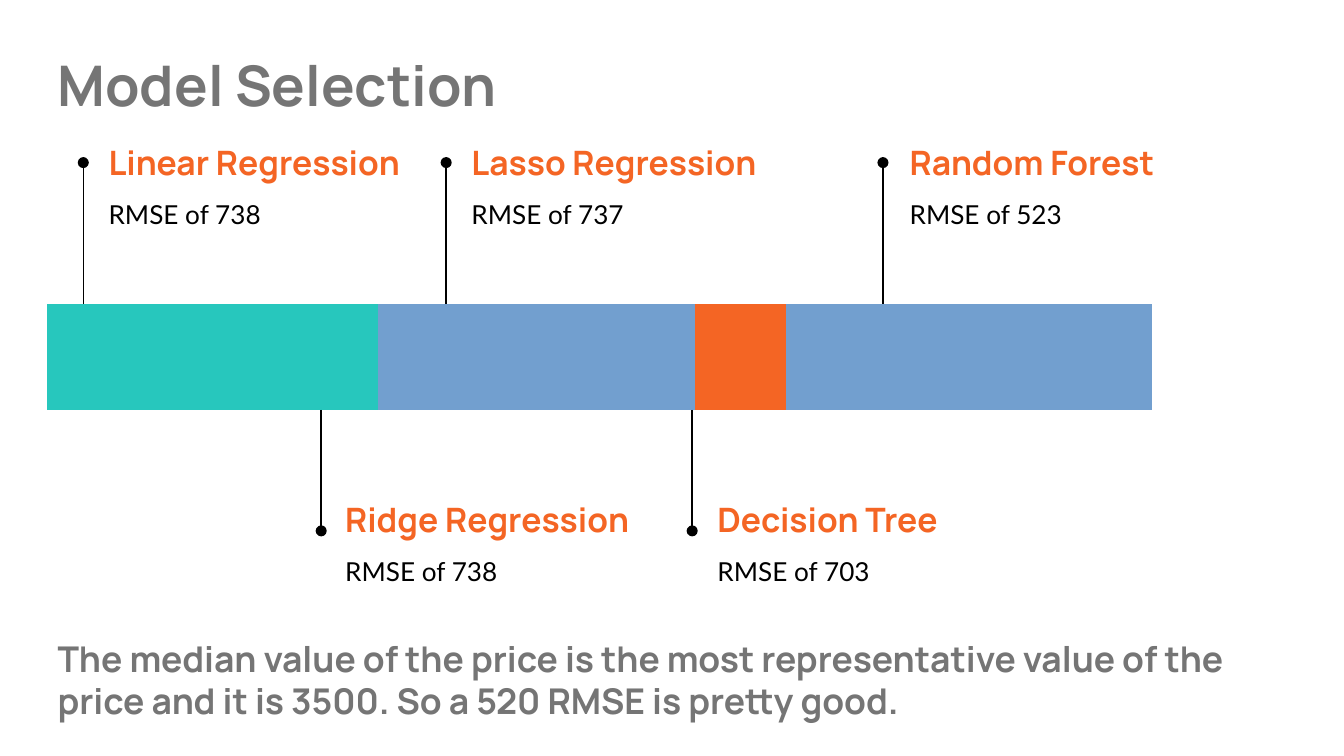
from dataclasses import dataclass

import lxml.etree
import pptx
import pptx.dml.color
import pptx.enum.shapes
import pptx.enum.text
import pptx.oxml.ns
import pptx.util
from pptx.util import Inches

COLORS = {
    "title": "757575",
    "accent": "F46524",
    "body": "000000",
    "teal": "27C7BD",
    "blue": "729FCF",
}
BAR_LEFT, BAR_TOP, BAR_HEIGHT = 0.35, 2.26, 0.79
COLUMN_WIDTHS = [0.68] * 3 + [0.42, 1] + [0.68] * 7


@dataclass
class Segment:
    color: str
    spanned_color: str
    columns: int


@dataclass
class Model:
    name: str
    error: int
    line_x: float
    text_left: float
    above: bool


@dataclass
class TextStyle:
    font: str
    size: float
    color: str
    bold: bool = True
    line_spacing: float = 1.0
    middle: bool = False


TITLE = TextStyle("Manrope", 30, "title")
CONCLUSION = TextStyle("Manrope", 19, "title")
MODEL_NAME = TextStyle("Manrope", 18, "accent", middle=True)
MODEL_SCORE = TextStyle("Lato", 14, "body", bold=False, line_spacing=1.15)

SEGMENTS = [Segment("teal", "teal", 4), Segment("accent", "blue", 8)]
MODELS = [
    Model("Linear Regression", 738, 0.62, 0.71, True),
    Model("Ridge Regression", 738, 2.39, 2.47, False),
    Model("Lasso Regression", 737, 3.32, 3.41, True),
    Model("Decision Tree", 703, 5.15, 5.24, False),
    Model("Random Forest", 523, 6.57, 6.67, True),
]


def rgb(name: str) -> pptx.dml.color.RGBColor:
    return pptx.dml.color.RGBColor.from_string(COLORS[name])


def add_text(slide, text: str, left: float, top: float, width: float,
             height: float, style: TextStyle) -> None:
    shape = slide.shapes.add_textbox(
        Inches(left), Inches(top), Inches(width), Inches(height))
    frame = shape.text_frame
    frame.word_wrap = True
    frame.margin_left = frame.margin_right = Inches(0.1)
    frame.margin_top = frame.margin_bottom = Inches(0.1)
    anchor = pptx.enum.text.MSO_ANCHOR
    frame.vertical_anchor = anchor.MIDDLE if style.middle else anchor.TOP
    paragraph = frame.paragraphs[0]
    paragraph.line_spacing = style.line_spacing
    run = paragraph.add_run()
    run.text = text
    run.font.name = style.font
    run.font.size = pptx.util.Pt(style.size)
    run.font.bold = style.bold
    run.font.color.rgb = rgb(style.color)


def fill_cell(cell, color: str) -> None:
    properties = cell._tc.get_or_add_tcPr()
    for side in ("a:lnL", "a:lnR", "a:lnT", "a:lnB"):
        border = lxml.etree.SubElement(properties, pptx.oxml.ns.qn(side))
        lxml.etree.SubElement(border, pptx.oxml.ns.qn("a:noFill"))
    cell.fill.solid()
    cell.fill.fore_color.rgb = rgb(color)


def add_bar(slide) -> None:
    table = slide.shapes.add_table(
        1, len(COLUMN_WIDTHS), Inches(BAR_LEFT), Inches(BAR_TOP),
        Inches(sum(COLUMN_WIDTHS)), Inches(BAR_HEIGHT)).table
    table.first_row = False
    table.horz_banding = False
    for column, width in zip(table.columns, COLUMN_WIDTHS):
        column.width = Inches(width)
    start = 0
    for segment in SEGMENTS:
        end = start + segment.columns
        fill_cell(table.cell(0, start), segment.color)
        for index in range(start + 1, end):
            fill_cell(table.cell(0, index), segment.spanned_color)
        table.cell(0, start).merge(table.cell(0, end - 1))
        start = end


def add_marker(slide, x: float, start_y: float, end_y: float) -> None:
    connector = slide.shapes.add_connector(
        pptx.enum.shapes.MSO_CONNECTOR.STRAIGHT,
        Inches(x), Inches(start_y), Inches(x), Inches(end_y))
    connector.line.color.rgb = rgb("body")
    connector.line.width = pptx.util.Pt(0.75)
    line = connector.line._get_or_add_ln()
    lxml.etree.SubElement(line, pptx.oxml.ns.qn("a:tailEnd"), type="oval")
    lxml.etree.SubElement(
        connector._element.spPr, pptx.oxml.ns.qn("a:effectLst"))


def add_model(slide, model: Model) -> None:
    if model.above:
        text_top = 0.99
        add_marker(slide, model.line_x, BAR_TOP, 1.21)
    else:
        text_top = 3.65
        add_marker(slide, model.line_x, BAR_TOP + BAR_HEIGHT, 3.95)
    add_text(slide, model.name, model.text_left, text_top, 2.53, 0.43, MODEL_NAME)
    add_text(slide, f"RMSE of {model.error}", model.text_left, text_top + 0.35,
             2.53, 0.63, MODEL_SCORE)


def main() -> None:
    presentation = pptx.Presentation()
    presentation.slide_width = Inches(10)
    presentation.slide_height = Inches(10 * 9 / 16)
    slide = presentation.slides.add_slide(presentation.slide_layouts[6])
    add_text(slide, "Model Selection", 0.33, 0.28, 9.32, 0.7, TITLE)
    add_bar(slide)
    for model in MODELS:
        add_model(slide, model)
    add_text(
        slide,
        "The median value of the price is the most representative value of the "
        "price and it is 3500. So a 520 RMSE is pretty good.",
        0.33, 4.64, 9.32, 0.7, CONCLUSION)
    presentation.save("out.pptx")


if __name__ == "__main__":
    main()
